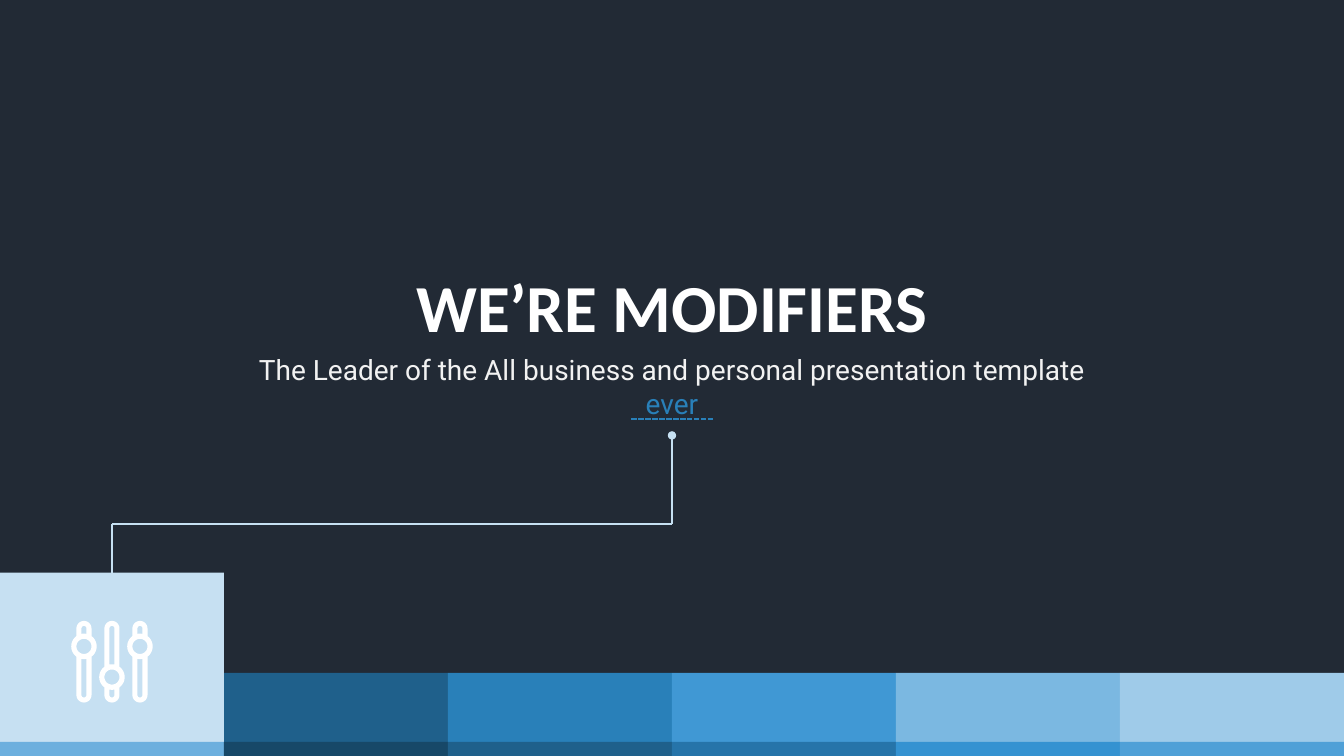
import math

import pptx
import pptx.dml.color
import pptx.enum.dml
import pptx.enum.shapes
import pptx.enum.text
import pptx.oxml
import pptx.oxml.ns
import pptx.util

Pt = pptx.util.Pt


class Theme:
    background = "222A35"
    white = "FFFFFF"
    soft_white = "F2F2F2"
    accent = "2980B9"
    pale = "C6E0F2"
    band = ["1F608B", "2980B9", "4098D4", "7BB8E1", "9FCBE9"]
    strip = ["6CAFDE", "174868", "1F608B", "2674A9", "3492D1", "4FA0D7"]
    title_font, title_size = "Calibri", 48
    body_font, body_size = "Roboto", 20
    line_width = 1.25


def rgb(value):
    return pptx.dml.color.RGBColor.from_string(value)


def arc(center_x, center_y, radius, start, end, steps=16):
    """Points along an arc; degrees run clockwise from the right."""
    angles = [math.radians(start + (end - start) * i / steps) for i in range(steps + 1)]
    return [(Pt(center_x + radius * math.cos(a)), Pt(center_y + radius * math.sin(a)))
            for a in angles]


class SlideBuilder:
    def __init__(self, slide, theme):
        self.slide = slide
        self.theme = theme
        slide.background.fill.solid()
        slide.background.fill.fore_color.rgb = rgb(theme.background)

    def paint(self, shape, color):
        shape.shadow.inherit = False
        shape.fill.solid()
        shape.fill.fore_color.rgb = rgb(color)
        shape.line.fill.background()
        return shape

    def rectangle(self, left, top, width, height, color, group=None):
        shapes = (group or self.slide).shapes
        shape = shapes.add_shape(pptx.enum.shapes.MSO_SHAPE.RECTANGLE,
                                 Pt(left), Pt(top), Pt(width), Pt(height))
        return self.paint(shape, color)

    def slider(self, center_x, knob_y, top, bottom, group):
        """A rounded rod with a ring-shaped knob, cut out by inner contours."""
        rod, slot, knob = 5.4, 1.8, 9.1
        rod_angle = math.degrees(math.acos(rod / knob))
        slot_angle = math.degrees(math.acos(slot / knob))
        upper, lower = top + rod, bottom - rod
        contours = [
            arc(center_x, upper, rod, 180, 360)
            + arc(center_x, knob_y, knob, -rod_angle, rod_angle)
            + arc(center_x, lower, rod, 0, 180)
            + arc(center_x, knob_y, knob, 180 - rod_angle, 180 + rod_angle),
            arc(center_x, upper, slot, 180, 360)
            + arc(center_x, knob_y, knob, -slot_angle, slot_angle - 180),
            arc(center_x, knob_y, knob, 180 - slot_angle, slot_angle)
            + arc(center_x, lower, slot, 0, 180),
            arc(center_x, knob_y, rod, 0, 360, 32),
        ]
        builder = group.shapes.build_freeform(*contours[0][0])
        for index, points in enumerate(contours):
            if index:
                builder.move_to(*points[0])
            builder.add_line_segments(points[1:], close=True)
        return self.paint(builder.convert_to_shape(), self.theme.white)

    def line(self, start, end, color, dash=None, head=None):
        connector = self.slide.shapes.add_connector(
            pptx.enum.shapes.MSO_CONNECTOR.STRAIGHT, *map(Pt, start + end))
        connector.line.color.rgb = rgb(color)
        connector.line.width = Pt(self.theme.line_width)
        if dash:
            connector.line.dash_style = dash
        properties = connector.element.spPr
        if head:
            outline = properties.find(pptx.oxml.ns.qn("a:ln"))
            head_end = outline.makeelement(pptx.oxml.ns.qn("a:headEnd"), {"type": head})
            outline.append(head_end)
        properties.append(properties.makeelement(pptx.oxml.ns.qn("a:effectLst"), {}))
        return connector

    def format_text(self, shape, font, size, colors, bold=False, wrap=True):
        frame = shape.text_frame
        frame.word_wrap = wrap
        frame.auto_size = pptx.enum.text.MSO_AUTO_SIZE.SHAPE_TO_FIT_TEXT
        frame.vertical_anchor = pptx.enum.text.MSO_ANCHOR.TOP
        paragraph = frame.paragraphs[0]
        paragraph.alignment = pptx.enum.text.PP_ALIGN.CENTER
        paragraph.line_spacing = 1.0
        for run, color in zip(paragraph.runs, colors):
            run.font.name = font
            run.font.size = Pt(size)
            run.font.bold = bold
            run.font.color.rgb = rgb(color)

    def title(self, text, left, top, width, height):
        shape = self.slide.shapes.title
        shape.left, shape.top, shape.width, shape.height = map(Pt, (left, top, width, height))
        shape.text_frame.text = text
        self.format_text(shape, self.theme.title_font, self.theme.title_size,
                         [self.theme.white], bold=True, wrap=False)

    def subtitle(self, text, highlight, left, top, width, height):
        shape = self.slide.shapes.add_textbox(Pt(left), Pt(top), Pt(width), Pt(height))
        shape.text_frame.text = text
        shape.text_frame.paragraphs[0].add_run().text = highlight
        self.format_text(shape, self.theme.body_font, self.theme.body_size,
                         [self.theme.soft_white, self.theme.accent])


def main():
    presentation = pptx.Presentation()
    presentation.slide_width, presentation.slide_height = Pt(960), Pt(540)
    theme = Theme()
    builder = SlideBuilder(
        presentation.slides.add_slide(presentation.slide_layouts[5]), theme)
    shapes = builder.slide.shapes

    column = 960 / 6
    for index, color in enumerate(theme.band, start=1):
        builder.rectangle(index * column, 480.7, column, 59.3, color)
    tile = builder.rectangle(0, 409, column, 131, theme.pale)
    strip = shapes.add_group_shape()
    for index, color in enumerate(theme.strip):
        builder.rectangle(index * column, 530, column, 10, color, strip)

    icon = shapes.add_group_shape()
    for index, knob_y in enumerate([461.7, 483.6, 461.7]):
        builder.slider(60 + 20 * index, knob_y, 443.5, 501.8, icon)

    bend_y, tile_x, center_x = 374.4, column / 2, 480
    builder.line((tile_x, bend_y), (center_x, bend_y), theme.pale)
    builder.line((tile_x, bend_y), (tile_x, 409), theme.pale).end_connect(tile, 0)
    builder.title("WE’RE MODIFIERS", 288, 185.8, 384, 65.5)
    builder.subtitle("The Leader of the All business and personal presentation template ",
                     "ever", 167.5, 248.4, 625, 31.5)
    builder.line((451, 299.3), (509, 299.3), theme.accent,
                 dash=pptx.enum.dml.MSO_LINE.SQUARE_DOT)
    builder.line((center_x, 311), (center_x, bend_y), theme.pale, head="oval")

    presentation.save("out.pptx")


if __name__ == "__main__":
    main()
